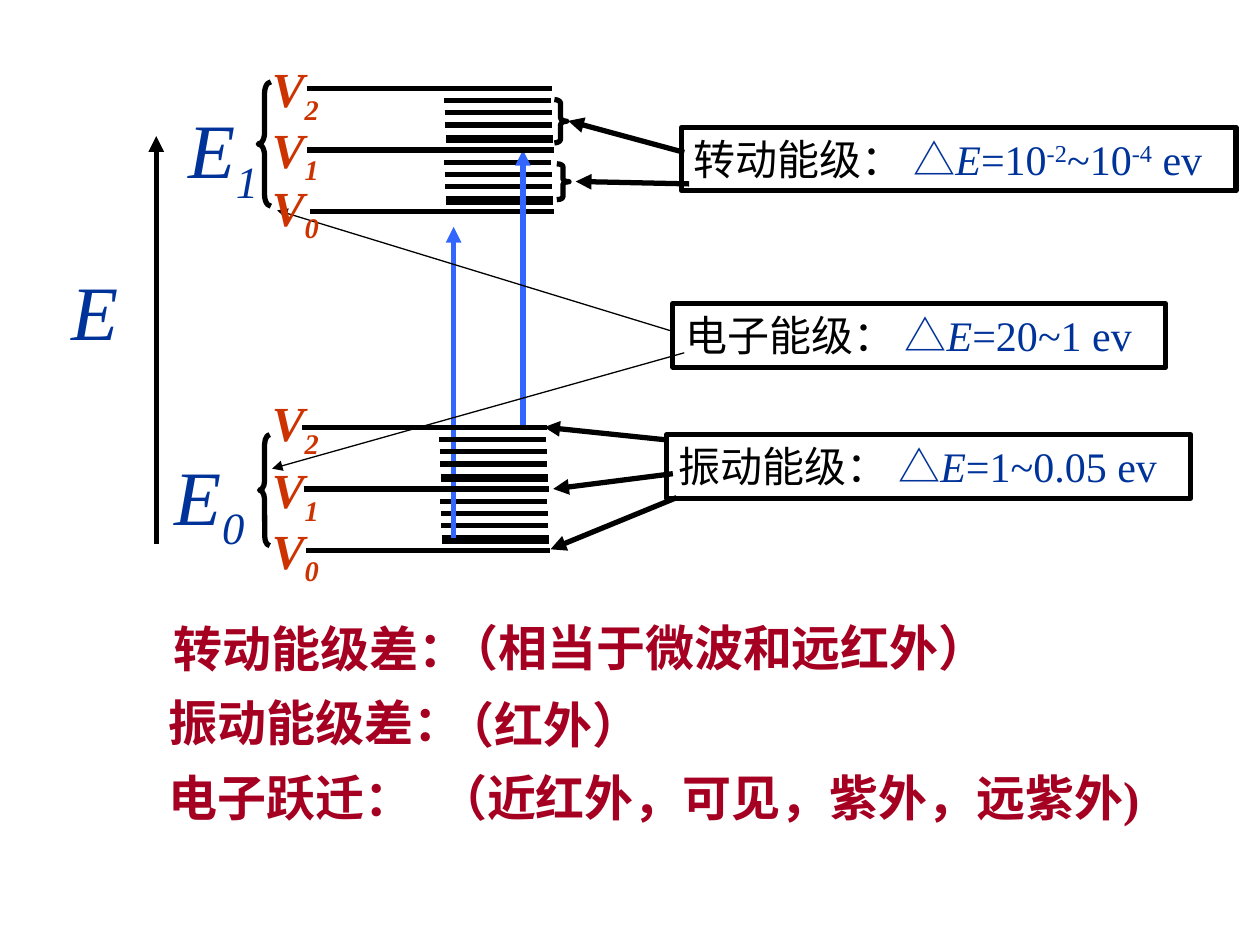
from dataclasses import dataclass

from lxml.etree import SubElement
from pptx import Presentation
from pptx.dml.color import RGBColor
from pptx.enum.shapes import MSO_CONNECTOR, MSO_SHAPE
from pptx.enum.text import MSO_ANCHOR, MSO_AUTO_SIZE, PP_ALIGN
from pptx.oxml.ns import qn
from pptx.util import Pt


@dataclass(frozen=True)
class Theme:
    font: str = "Times New Roman"
    black: RGBColor = RGBColor(0x00, 0x00, 0x00)
    navy: RGBColor = RGBColor(0x00, 0x33, 0x99)
    blue: RGBColor = RGBColor(0x33, 0x66, 0xFF)
    orange: RGBColor = RGBColor(0xCC, 0x33, 0x00)
    crimson: RGBColor = RGBColor(0xA5, 0x00, 0x21)
    energy_size: int = 44
    caption_size: int = 28
    callout_size: int = 24
    heavy: float = 3
    hairline: float = 0.75


@dataclass(frozen=True)
class Span:
    text: str
    color: RGBColor | None = None
    italic: bool | None = None
    baseline: int = 0


THEME = Theme()


def write(box, spans, size, color=None, bold=None, italic=None, wrap=False):
    frame = box.text_frame
    frame.word_wrap = wrap
    frame.auto_size = MSO_AUTO_SIZE.SHAPE_TO_FIT_TEXT
    frame.vertical_anchor = MSO_ANCHOR.TOP
    para = frame.paragraphs[0]
    para.alignment = PP_ALIGN.LEFT
    para.font.name = THEME.font
    para.font.size = Pt(size)
    para.font.bold = bold
    para.font.italic = italic
    if color is not None:
        para.font.color.rgb = color
    for part in spans:
        span = para.add_run()
        span.text = part.text
        if part.color is not None:
            span.font.color.rgb = part.color
        if part.italic is not None:
            span.font.italic = part.italic
        if part.baseline:
            span.font._element.set("baseline", str(part.baseline * 1000))
    return para


def add_label(page, left, top, width, height, spans, size, **style):
    box = page.shapes.add_textbox(Pt(left), Pt(top), Pt(width), Pt(height))
    return write(box, spans, size, **style)


def add_tab_stop(para, position):
    properties = para._p.get_or_add_pPr()
    stops = properties.makeelement(qn("a:tabLst"))
    SubElement(stops, qn("a:tab"), pos=str(Pt(position)), algn="l")
    properties.insert(0, stops)


def add_line(page, start, end, color=THEME.black, width=THEME.heavy, arrow=False):
    line = page.shapes.add_connector(
        MSO_CONNECTOR.STRAIGHT, *(Pt(value) for value in (*start, *end)))
    line.line.color.rgb = color
    line.line.width = Pt(width)
    properties = line._element.spPr
    if arrow:
        SubElement(properties.find(qn("a:ln")), qn("a:tailEnd"), type="triangle")
    SubElement(properties, qn("a:effectLst"))


def add_outline(page, kind, left, top, width, height):
    box = page.shapes.add_shape(kind, Pt(left), Pt(top), Pt(width), Pt(height))
    box.shadow.inherit = False
    box.fill.background()
    box.line.color.rgb = THEME.black
    box.line.width = Pt(THEME.heavy)
    return box


def add_brace(page, kind, left, top, width, height, curve):
    brace = add_outline(page, kind, left, top, width, height)
    brace.adjustments[0] = curve


def add_level_stack(page, left, top):
    level_width, rung_width, rung_offset = 139.5, 61.2, 77.8
    level_gap, drift = 35.3, 0.04
    for drop in (0, level_gap):
        x, y = left + drift * drop, top + drop
        add_line(page, (x, y), (x + level_width, y))
    for drop in (7, 14, 21, 28, 30):
        x, y = left + rung_offset + drift * drop, top + drop
        add_line(page, (x, y), (x + rung_width, y))


def add_callout(page, left, top, width, name, values):
    box = add_outline(page, MSO_SHAPE.RECTANGLE, left, top, width, 36.3)
    spans = [Span(name + "： ", THEME.black), Span("△", THEME.navy),
             Span("E", THEME.navy, True)]
    spans += [Span(text, THEME.navy, False, baseline) for text, baseline in values]
    write(box, spans, THEME.callout_size)


def add_captions(page):
    style = {"color": THEME.crimson, "bold": True}
    captions = (
        (92.2, 349.9, 182, "转动能级差：", False),
        (249.8, 349.2, 330, "（相当于微波和远红外）", True),
        (89.3, 392.4, 182, "振动能级差：", False),
        (247.7, 393.1, 158, "（红外）", True),
        (89.3, 434.9, 611, "电子跃迁：\t（近红外，可见，紫外，远紫外)", True),
    )
    for left, top, width, text, wrap in captions:
        para = add_label(page, left, top, width, 41, [Span(text)],
                         THEME.caption_size, wrap=wrap, **style)
        if "\t" in text:
            add_tab_stop(para, 154)


def add_energy_diagram(page):
    for left, top in ((175.7, 85.7), (173.5, 279.4)):
        add_level_stack(page, left, top)
    for x, bottom, top in ((298.8, 244.1, 85.7), (259.2, 307.4, 129.6)):
        add_line(page, (x, bottom), (x, top), THEME.blue, arrow=True)
    for left, top in ((172.8, 244.1), (175.7, 50.4)):
        add_level_stack(page, left, top)
    add_line(page, (89.3, 311), (89.3, 77.8), arrow=True)

    for brace in (
        (MSO_SHAPE.LEFT_BRACE, 147.6, 46.8, 7.2, 71, 0.9),
        (MSO_SHAPE.LEFT_BRACE, 148.3, 248.4, 5.8, 63.4, 0.95),
        (MSO_SHAPE.RIGHT_BRACE, 316.8, 56.9, 7, 24.8, 0.29),
        (MSO_SHAPE.RIGHT_BRACE, 318.2, 93.6, 7, 20.5, 0.23),
    ):
        add_brace(page, *brace)


def add_symbols(page):
    energy = {"size": THEME.energy_size, "color": THEME.navy, "italic": True}
    add_label(page, 33.8, 146.9, 41, 60.5, [Span("E")], **energy)
    for left, top, index in ((100.8, 54.7, "1"), (92.9, 252.7, "0")):
        add_label(page, left, top, 54, 67.7,
                  [Span("E"), Span(index, baseline=-25)], **energy)
    for tops in ((97.9, 64.8, 30.2), (293.8, 259.2, 221)):
        for index, top in enumerate(tops):
            add_label(page, 148.3, top, 41, 45.4,
                      [Span("V"), Span(str(index), baseline=-25)],
                      THEME.caption_size, color=THEME.orange, bold=True, italic=True)


def add_callouts(page):
    add_callout(page, 389.5, 72.7, 316.8, "转动能级",
                [("=10", 0), ("-2", 30), ("~10", 0), ("-4", 30), (" ev", 0)])
    add_callout(page, 384.5, 173.5, 281.5, "电子能级", [("=20~1 ev", 0)])
    add_callout(page, 380.9, 248.4, 299.5, "振动能级", [("=1~0.05 ev", 0)])
    for start, end, width in (
        ((380.2, 251.3), (311, 244.1), THEME.heavy),
        ((384.5, 270.7), (316.1, 279.4), THEME.heavy),
        ((386.6, 284.4), (314.6, 313.9), THEME.heavy),
        ((391, 87.1), (324.7, 69.1), THEME.heavy),
        ((393.8, 105.1), (329, 103.7), THEME.heavy),
        ((384.5, 189.4), (158.4, 120.2), THEME.hairline),
        ((391, 201.6), (155.5, 267.8), THEME.hairline),
    ):
        add_line(page, start, end, width=width, arrow=True)


def main():
    deck = Presentation()
    deck.slide_width, deck.slide_height = Pt(720), Pt(540)
    page = deck.slides.add_slide(deck.slide_layouts[6])
    add_captions(page)
    add_energy_diagram(page)
    add_callouts(page)
    add_symbols(page)
    deck.save("out.pptx")


if __name__ == "__main__":
    main()
